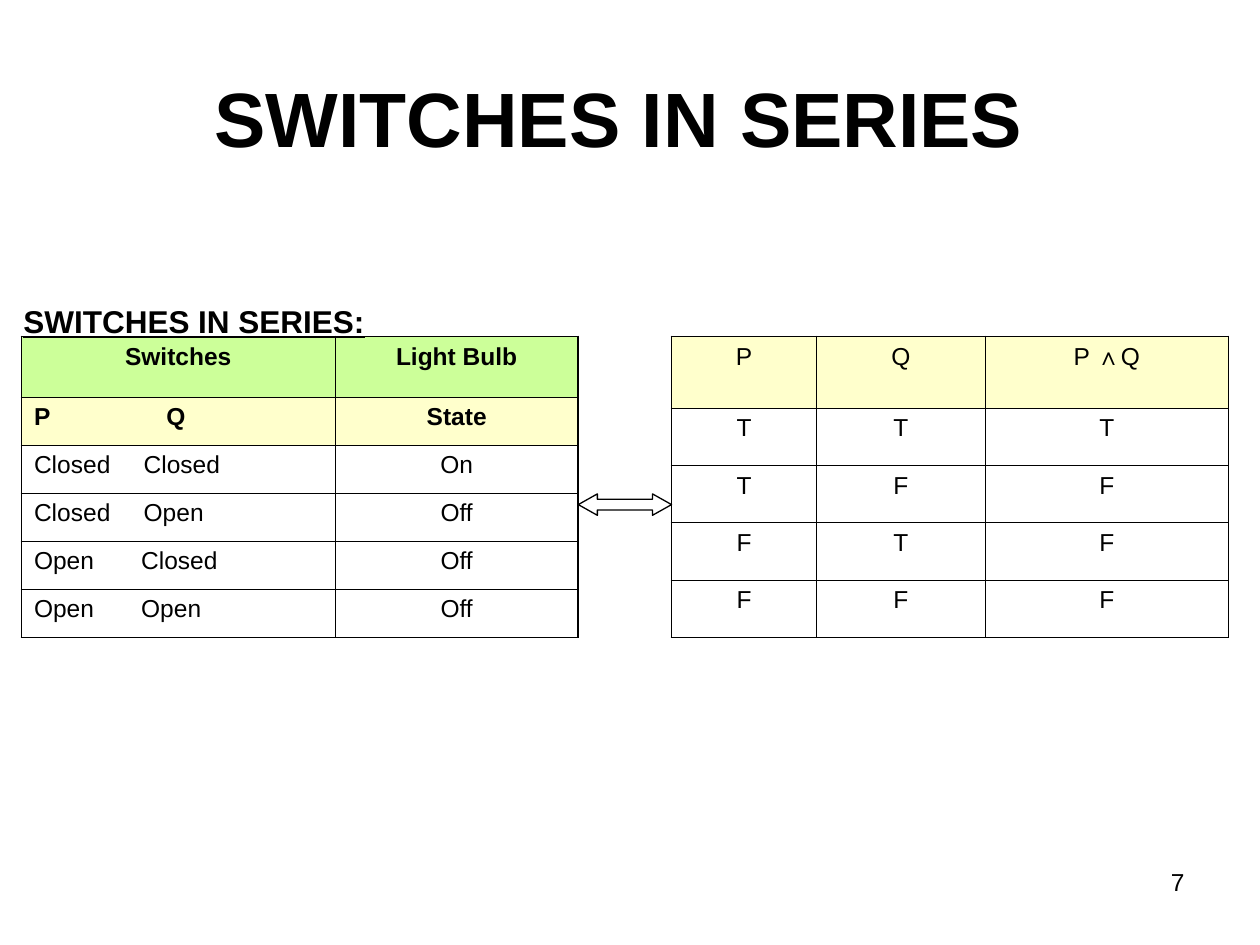
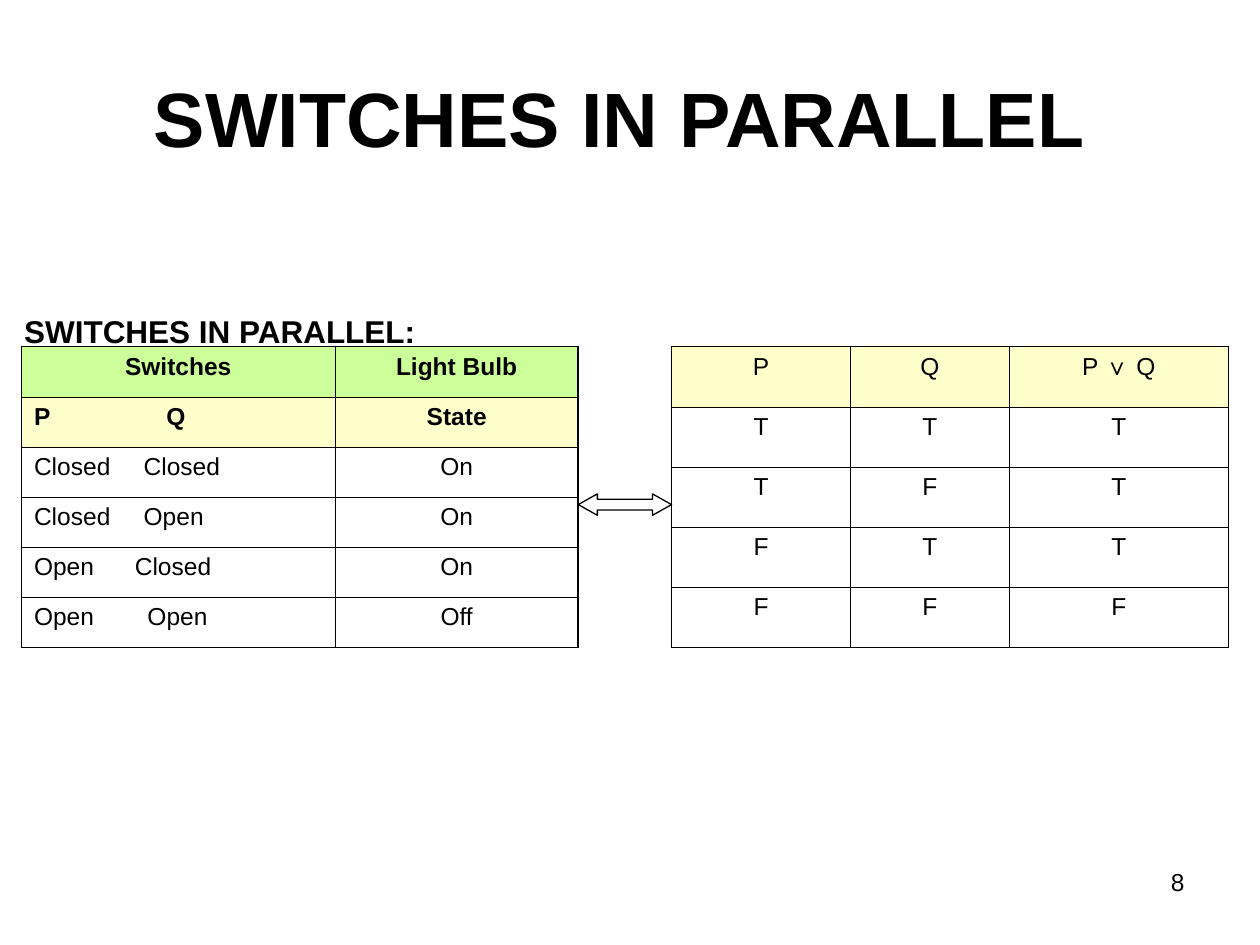
"""Build two slides that match switch circuits with their truth tables."""
from dataclasses import dataclass

from lxml.etree import SubElement
from pptx import Presentation
from pptx.dml.color import RGBColor
from pptx.enum.shapes import MSO_SHAPE
from pptx.enum.text import MSO_ANCHOR, MSO_AUTO_SIZE, PP_ALIGN
from pptx.oxml import parse_xml
from pptx.oxml.ns import nsdecls, qn
from pptx.util import Emu, Inches, Pt

CIRCUITS = [
    {
        "name": "SERIES", "number": 7, "top": 2.67,
        "heading": {"top": 2.35, "width": 2.92, "in_front": True},
        "switches": {
            "rows": [("Switches", "Light Bulb"), ("P\tQ", "State"),
                     ("Closed\tClosed", "On"), ("Closed\tOpen", "Off"),
                     ("Open\tClosed", "Off"), ("Open\tOpen", "Off")],
            "tabs": [None, 1.05, 0.87, 0.87, 0.85, 0.85],
            "columns": [2.49, 1.93], "header": 0.48,
        },
        "truth": {
            "rows": [("P", "Q", "P ∧Q"), "TTT", "TFF", "FTF", "FFF"],
            "columns": [1.15, 1.34, 1.93], "header": 0.57,
        },
    },
    {
        "name": "PARALLEL", "number": 8, "top": 2.75,
        "heading": {"top": 2.43, "width": 3.33, "in_front": False},
        "switches": {
            "rows": [("Switches", "Light Bulb"), ("P\tQ", "State"),
                     ("Closed\tClosed", "On"), ("Closed\tOpen", "On"),
                     ("Open\tClosed", "On"), ("Open\tOpen", "Off")],
            "tabs": [None, 1.05, 0.87, 0.87, 0.8, 0.9],
            "columns": [2.49, 1.93], "header": 0.4,
        },
        "truth": {
            "rows": [("P", "Q", "P ∨ Q"), "TTT", "TFT", "FTT", "FFF"],
            "columns": [1.42, 1.26, 1.74], "header": 0.48,
        },
    },
]


@dataclass(frozen=True)
class Theme:
    font: str = "Arial"
    ink: str = "000000"
    green: str = "CCFF99"
    cream: str = "FFFFCC"
    title: int = 44
    heading: int = 18
    body: int = 14
    outer_line: float = 1.08
    inner_line: float = 0.45
    arrow_line: float = 0.75


THEME = Theme()
BOLD_SYMBOL = "∨"
SWITCHES_LEFT, TRUTH_LEFT = 0.17, 5.33
TABLE_WIDTH, TABLE_HEIGHT = 4.42, 2.39
ARROW_TOP, ARROW_HEIGHT = 3.92, 0.17


def inches(*lengths):
    return [Inches(length) for length in lengths]


def format_runs(paragraph, size, bold=False, underline=False):
    for run in paragraph.runs:
        font = run.font
        font.name, font.size = THEME.font, Pt(size)
        font.bold = bold or run.text == BOLD_SYMBOL
        font.underline = underline
        font.color.rgb = RGBColor.from_string(THEME.ink)


def add_title(slide, text):
    title = slide.shapes.title
    title.left, title.top, title.width, title.height = inches(0.5, 0.3, 9, 1.25)
    frame = title.text_frame
    frame.text = text
    frame.auto_size, frame.vertical_anchor = MSO_AUTO_SIZE.NONE, MSO_ANCHOR.MIDDLE
    frame.paragraphs[0].alignment = PP_ALIGN.CENTER
    format_runs(frame.paragraphs[0], THEME.title, bold=True)


def add_text(slide, box, text, size, alignment, wrap=True, **style):
    frame = slide.shapes.add_textbox(*inches(*box)).text_frame
    frame.word_wrap = wrap
    frame.text = text
    frame.paragraphs[0].alignment = alignment
    format_runs(frame.paragraphs[0], size, **style)
    return frame


def add_heading(slide, name, heading):
    box = (0.08, heading["top"], heading["width"], 0.4)
    frame = add_text(slide, box, f"SWITCHES IN {name}:", THEME.heading,
                     PP_ALIGN.CENTER, wrap=False, bold=True, underline=True)
    frame.vertical_anchor = MSO_ANCHOR.MIDDLE


def set_borders(cell, outer_sides):
    properties = cell._tc.get_or_add_tcPr()
    for position, side in enumerate("LRTB"):
        width = THEME.outer_line if side in outer_sides else THEME.inner_line
        properties.insert(position, parse_xml(
            f'<a:ln{side} {nsdecls("a")} w="{Pt(width)}"><a:solidFill>'
            f'<a:srgbClr val="{THEME.ink}"/></a:solidFill></a:ln{side}>'))


def fill_cell(cell, text, color, outer_sides, bold, tab):
    paragraph = cell.text_frame.paragraphs[0]
    for piece in filter(None, text.partition(BOLD_SYMBOL)):
        paragraph.add_run().text = piece
    if "\t" in text:
        tabs = SubElement(paragraph._p.get_or_add_pPr(), qn("a:tabLst"))
        SubElement(tabs, qn("a:tab"), pos=str(Inches(tab)), algn="l")
    else:
        paragraph.alignment = PP_ALIGN.CENTER
    format_runs(paragraph, THEME.body, bold)
    if color:
        cell.fill.solid()
        cell.fill.fore_color.rgb = RGBColor.from_string(color)
    else:
        cell.fill.background()
    set_borders(cell, outer_sides)


def add_grid(slide, left, top, content, header_colors, bold_rows=0):
    rows, columns = content["rows"], content["columns"]
    tabs = content.get("tabs", [None] * len(rows))
    last_row, last_column = len(rows) - 1, len(columns) - 1
    table = slide.shapes.add_table(len(rows), len(columns), *inches(
        left, top, TABLE_WIDTH, TABLE_HEIGHT)).table
    table.first_row = table.horz_banding = False
    for column, width in zip(table.columns, columns):
        column.width = Inches(width)
    body_height = Emu(Inches(TABLE_HEIGHT - content["header"]) // last_row)
    for row_index, texts in enumerate(rows):
        table.rows[row_index].height = body_height if row_index else Inches(content["header"])
        color = header_colors[row_index] if row_index < len(header_colors) else None
        for column_index, text in enumerate(texts):
            edges = {"L": column_index == 0, "R": column_index == last_column,
                     "T": row_index == 0, "B": row_index == last_row}
            outer_sides = [side for side, is_outer in edges.items() if is_outer]
            fill_cell(table.cell(row_index, column_index), text, color, outer_sides,
                      row_index < bold_rows, tabs[row_index])


def add_arrow(slide):
    left = SWITCHES_LEFT + TABLE_WIDTH
    arrow = slide.shapes.add_shape(MSO_SHAPE.LEFT_RIGHT_ARROW, *inches(
        left, ARROW_TOP, TRUTH_LEFT - left, ARROW_HEIGHT))
    arrow.adjustments[0], arrow.adjustments[1] = 0.5, 0.89
    arrow.shadow.inherit = False
    arrow.fill.background()
    arrow.line.color.rgb = RGBColor.from_string(THEME.ink)
    arrow.line.width = Pt(THEME.arrow_line)


def add_circuit(presentation, circuit):
    slide = presentation.slides.add_slide(presentation.slide_layouts[5])
    name, top, heading = circuit["name"], circuit["top"], circuit["heading"]
    add_text(slide, (7.17, 6.83, 2.33, 0.52), str(circuit["number"]),
             THEME.body, PP_ALIGN.RIGHT)
    add_title(slide, f"SWITCHES IN {name} ")
    if not heading["in_front"]:
        add_heading(slide, name, heading)
    add_grid(slide, SWITCHES_LEFT, top, circuit["switches"],
             [THEME.green, THEME.cream], bold_rows=2)
    if heading["in_front"]:
        add_heading(slide, name, heading)
    add_arrow(slide)
    add_grid(slide, TRUTH_LEFT, top, circuit["truth"], [THEME.cream])


def main():
    presentation = Presentation()
    presentation.slide_width, presentation.slide_height = inches(10, 7.5)
    for circuit in CIRCUITS:
        add_circuit(presentation, circuit)
    presentation.save("out.pptx")


if __name__ == "__main__":
    main()
